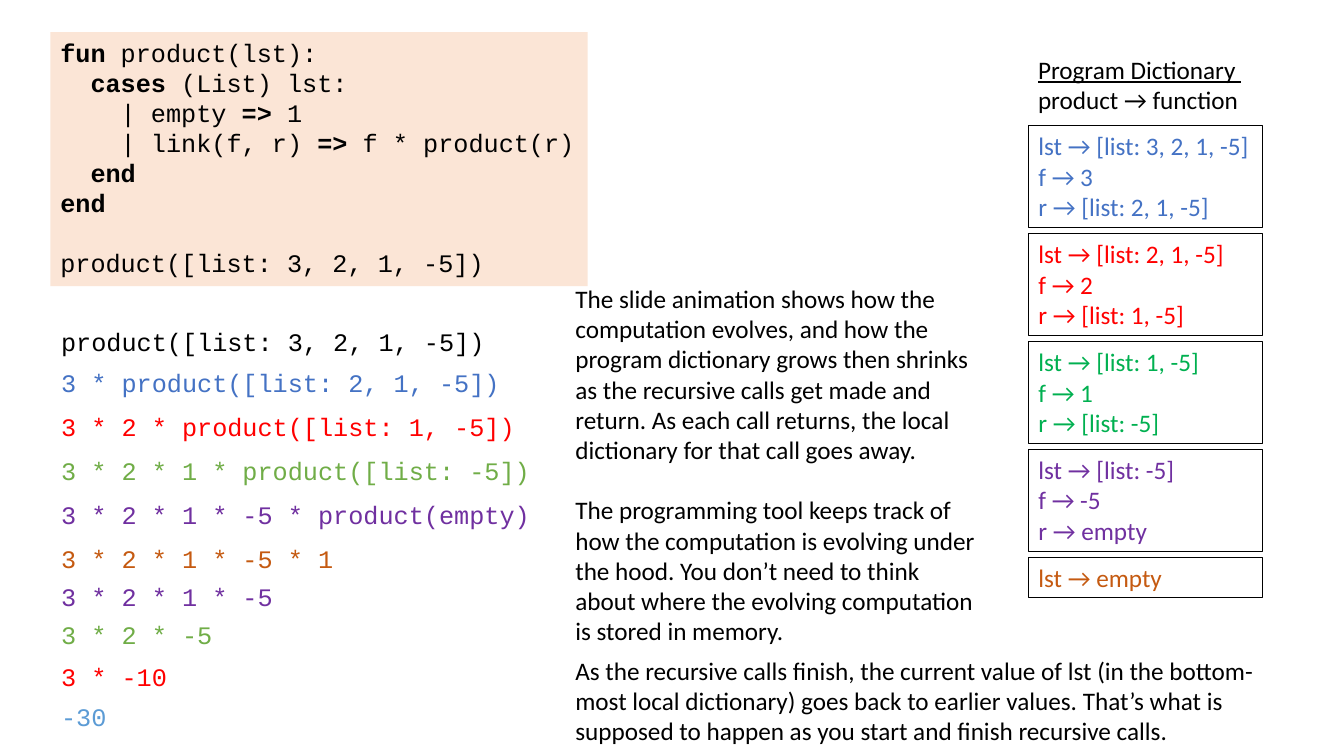
from pptx import Presentation
from pptx.dml.color import RGBColor
from pptx.enum import text as txt
from pptx.util import Cm, Pt

BLACK = RGBColor(0, 0, 0)
PEACH = RGBColor(0xFB, 0xE5, 0xD6)
BLUE = RGBColor(0x44, 0x72, 0xC4)
RED = RGBColor(0xFF, 0, 0)
GREEN = RGBColor(0, 0xB0, 0x50)
LEAF = RGBColor(0x70, 0xAD, 0x47)
PURPLE = RGBColor(0x70, 0x30, 0xA0)
RUST = RGBColor(0xC5, 0x5A, 0x11)
SKY = RGBColor(0x5B, 0x9B, 0xD5)

MONO, SANS = "Courier New", "Calibri"
SIZE = Pt(18)
BLANK_LINE = Pt(21.6)
CODE_LINE = Pt(21.5)
INDENT = Pt(21.6)

CALL = "product([list: 3, 2, 1, -5])"

CODE = [
    (0, [("fun", True), (" product(lst):", False)]),
    (1, [("cases", True), (" (List) lst:", False)]),
    (2, [("| empty ", False), ("=>", True), (" 1", False)]),
    (2, [("| link(f, r) ", False), ("=>", True), (" f * product(r)", False)]),
    (1, [("end", True)]),
    (0, [("end", True)]),
    (0, [(CALL, False)]),
]

STEPS = [
    (8.1, CALL, BLACK),
    (9.12, "3 * product([list: 2, 1, -5])", BLUE),
    (10.24, "3 * 2 * product([list: 1, -5])", RED),
    (11.35, "3 * 2 * 1 * product([list: -5])", LEAF),
    (12.47, "3 * 2 * 1 * -5 * product(empty)", PURPLE),
    (13.56, "3 * 2 * 1 * -5 * 1", RUST),
    (14.53, "3 * 2 * 1 * -5", PURPLE),
    (15.49, "3 * 2 * -5", LEAF),
    (16.54, "3 * -10", RED),
    (17.55, "-30", SKY),
]

DICTIONARY_HEAD = ["Program Dictionary ", "product → function"]

FRAMES = [
    (BLUE, ["lst → [list: 3, 2, 1, -5]", "f → 3", "r → [list: 2, 1, -5]"]),
    (RED, ["lst → [list: 2, 1, -5]", "f → 2", "r → [list: 1, -5]"]),
    (GREEN, ["lst → [list: 1, -5]", "f → 1", "r → [list: -5]"]),
    (PURPLE, ["lst → [list: -5]", "f → -5", "r → empty"]),
    (RUST, ["lst → empty"]),
]

EVOLUTION = [
    "The slide animation shows how the computation evolves, and how the program "
    "dictionary grows then shrinks as the recursive calls get made and return. "
    "As each call returns, the local dictionary for that call goes away.",
    "The programming tool keeps track of how the computation is evolving under "
    "the hood. You don’t need to think about where the evolving computation is "
    "stored in memory.",
]
RETURNING = [
    "As the recursive calls finish, the current value of lst (in the bottom-most "
    "local dictionary) goes back to earlier values. That’s what is supposed to "
    "happen as you start and finish recursive calls.",
]


def add_box(slide, left, top, width, height, wrap=False):
    box = slide.shapes.add_textbox(Cm(left), Cm(top), Cm(width), Cm(height))
    box.text_frame.word_wrap = wrap
    box.text_frame.auto_size = txt.MSO_AUTO_SIZE.SHAPE_TO_FIT_TEXT
    return box


def next_line(box, index):
    frame = box.text_frame
    return frame.add_paragraph() if index else frame.paragraphs[0]


def add_run(line, wording, font, color, bold=False):
    run = line.add_run()
    run.text = wording
    run.font.name, run.font.size, run.font.bold = font, SIZE, bold
    run.font.color.rgb = color
    return run


def write_lines(box, lines, font, color):
    for index, wording in enumerate(lines):
        add_run(next_line(box, index), wording, font, color)


def add_code(slide):
    box = add_box(slide, 1.27, 0.81, 13.54, 6.4)
    box.fill.solid()
    box.fill.fore_color.rgb = PEACH
    for index, (depth, pieces) in enumerate(CODE):
        line = next_line(box, index)
        line.line_spacing = CODE_LINE
        line._p.get_or_add_pPr().set("marL", str(int(depth * INDENT)))
        for wording, bold in pieces:
            add_run(line, wording, MONO, BLACK, bold)
    line.space_before = BLANK_LINE


def add_steps(slide):
    for top, step, color in STEPS:
        box = add_box(slide, 1.29, top, 0.55 + 0.38 * len(step), 1.02)
        write_lines(box, [step], MONO, color)


def add_dictionary(slide):
    head = add_box(slide, 25.91, 1.24, 5.69, 1.8)
    write_lines(head, DICTIONARY_HEAD, SANS, BLACK)
    head.text_frame.paragraphs[0].runs[0].font.underline = True
    for index, (color, bindings) in enumerate(FRAMES):
        height = 0.25 + 0.77 * len(bindings)
        frame = add_box(slide, 25.92, 3.17 + 2.72 * index, 5.91, height)
        frame.line.color.rgb = BLACK
        frame.line.width = Pt(0.75)
        write_lines(frame, bindings, SANS, color)


def add_notes(slide):
    evolution = add_box(slide, 14.25, 7.01, 10.69, 10.26, wrap=True)
    write_lines(evolution, EVOLUTION, SANS, BLACK)
    evolution.text_frame.paragraphs[1].space_before = BLANK_LINE
    returning = add_box(slide, 14.25, 16.38, 17.96, 2.57, wrap=True)
    write_lines(returning, RETURNING, SANS, BLACK)


def main():
    deck = Presentation()
    deck.slide_width, deck.slide_height = Cm(33.87), Cm(19.05)
    slide = deck.slides.add_slide(deck.slide_layouts[6])
    add_code(slide)
    add_dictionary(slide)
    add_steps(slide)
    add_notes(slide)
    deck.save("out.pptx")


if __name__ == "__main__":
    main()
